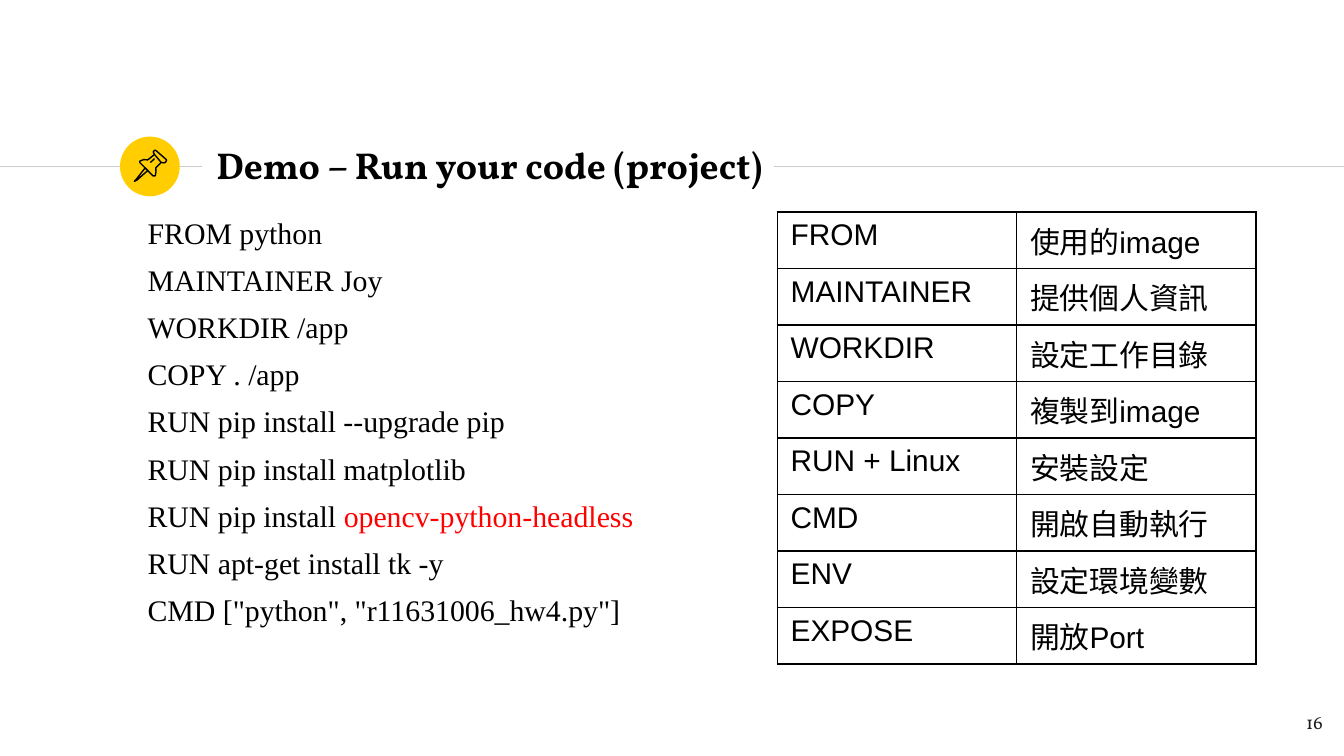
from lxml import etree
from pptx import Presentation
from pptx.dml.color import RGBColor
from pptx.enum import shapes, text
from pptx.oxml import ns
from pptx.util import Pt

BLACK = RGBColor(0x00, 0x00, 0x00)
INK = RGBColor(0x1D, 0x1D, 0x1B)
RED = RGBColor(0xFF, 0x00, 0x00)
YELLOW = RGBColor(0xFF, 0xCD, 0x00)
GREY = RGBColor(0xCC, 0xCC, 0xCC)

TITLE_FONT = {"name": "Vollkorn", "size": Pt(20), "bold": True}
NUMBER_FONT = {"name": "Vollkorn", "size": Pt(10)}
CODE_FONT = {"name": "Times New Roman", "size": Pt(16)}
TABLE_FONT = {"name": "Arial", "size": Pt(16)}
CODE_SPACING = {"line_spacing": Pt(19.2)}

RULE_Y = 89.3
RULES = [(0, 108), (414.7, 720)]

PIN_OUTLINES = [
    ([(77.8, 90), (72.7, 96.5), (72, 97.2), (73.4, 96.5), (79.2, 91.4)], True),
    ([(82.8, 82.8), (82.1, 81.4), (82.8, 80.6), (83.5, 80.6),
      (89.3, 85.7), (88.9, 86.8), (88, 87.3), (86.4, 87.1)], True),
    ([(82.8, 82.8), (79.2, 85.7), (77, 85.5), (74.9, 86.4), (74.9, 87.1),
      (82.1, 94.3), (83.2, 94.2), (83.6, 92.2), (83.5, 90), (86.4, 87.1)], False),
    ([(80.6, 87.1), (82.8, 85)], False),
]

CODE = [
    [("FROM python", BLACK)],
    [("MAINTAINER Joy", BLACK)],
    [("WORKDIR /app", BLACK)],
    [("COPY . /app", BLACK)],
    [("RUN pip install --upgrade pip", BLACK)],
    [("RUN pip install matplotlib", BLACK)],
    [("RUN pip install ", BLACK), ("opencv-python-headless", RED)],
    [("RUN apt-get install tk -y", BLACK)],
    [('CMD ["python", "r11631006_hw4.py"]', BLACK)],
]

COMMANDS = [
    ("FROM", "使用的image"),
    ("MAINTAINER", "提供個人資訊"),
    ("WORKDIR", "設定工作目錄"),
    ("COPY", "複製到image"),
    ("RUN + Linux", "安裝設定"),
    ("CMD", "開啟自動執行"),
    ("ENV", "設定環境變數"),
    ("EXPOSE", "開放Port"),
]


def apply_format(target, values):
    for name, value in values.items():
        setattr(target, name, value)


def add_run(paragraph, wording, font, color):
    run = paragraph.add_run()
    run.text = wording
    apply_format(run.font, font)
    run.font.color.rgb = color


def place(shape, left, top, width, height):
    apply_format(shape, {"left": Pt(left), "top": Pt(top),
                         "width": Pt(width), "height": Pt(height)})


def format_frame(frame, anchor):
    apply_format(frame, {"margin_left": Pt(7.2), "margin_right": Pt(7.2),
                         "margin_top": Pt(7.2), "margin_bottom": Pt(7.2),
                         "word_wrap": True, "vertical_anchor": anchor,
                         "auto_size": text.MSO_AUTO_SIZE.NONE})


def set_title(slide, wording):
    title = slide.shapes.title
    place(title, 108.7, 70.6, 339.1, 34.6)
    format_frame(title.text_frame, text.MSO_ANCHOR.MIDDLE)
    paragraph = title.text_frame.paragraphs[0]
    paragraph.alignment = text.PP_ALIGN.LEFT
    add_run(paragraph, wording, TITLE_FONT, BLACK)


def add_rule(slide, start, end):
    rule = slide.shapes.add_connector(
        shapes.MSO_CONNECTOR.STRAIGHT, Pt(start), Pt(RULE_Y), Pt(end), Pt(RULE_Y))
    rule.line.color.rgb = GREY
    rule.line.width = Pt(0.75)
    etree.SubElement(rule._element.spPr, ns.qn("a:effectLst"))


def add_badge(slide):
    badge = slide.shapes.add_shape(
        shapes.MSO_SHAPE.OVAL, Pt(64.3), Pt(73.2), Pt(32), Pt(32))
    badge.shadow.inherit = False
    badge.fill.solid()
    badge.fill.fore_color.rgb = YELLOW
    badge.line.fill.background()


def add_pin(slide):
    pin = slide.shapes.add_group_shape()
    for points, closed in PIN_OUTLINES:
        first, *rest = [(Pt(x), Pt(y)) for x, y in points]
        builder = pin.shapes.build_freeform(*first)
        builder.add_line_segments(rest, close=closed)
        outline = builder.convert_to_shape()
        outline.shadow.inherit = False
        outline.fill.background()
        outline.line.color.rgb = BLACK
        outline.line.width = Pt(0.75)


def add_text(slide, box, lines, font, spacing, alignment):
    shape = slide.shapes.add_textbox(*map(Pt, box))
    frame = shape.text_frame
    format_frame(frame, text.MSO_ANCHOR.TOP)
    for index, line in enumerate(lines):
        paragraph = frame.add_paragraph() if index else frame.paragraphs[0]
        paragraph.alignment = alignment
        apply_format(paragraph, spacing)
        if index:
            paragraph.space_before = Pt(6)
        for wording, color in line:
            add_run(paragraph, wording, font, color)


def add_borders(cell):
    properties = cell._tc.get_or_add_tcPr()
    for index, side in enumerate(("lnL", "lnR", "lnT", "lnB")):
        border = etree.Element(ns.qn(f"a:{side}"), w=str(Pt(1)))
        fill = etree.SubElement(border, ns.qn("a:solidFill"))
        etree.SubElement(fill, ns.qn("a:srgbClr"), val=str(BLACK))
        properties.insert(index, border)


def add_command_table(slide):
    frame = slide.shapes.add_table(
        len(COMMANDS), 2, Pt(416.4), Pt(113.6), Pt(256.4), Pt(29.2 * len(COMMANDS)))
    table = frame.table
    apply_format(table, {"first_row": False, "horz_banding": False})
    for row, entry in enumerate(COMMANDS):
        for column, wording in enumerate(entry):
            cell = table.cell(row, column)
            cell.fill.background()
            add_borders(cell)
            add_run(cell.text_frame.paragraphs[0], wording, TABLE_FONT, BLACK)


def main():
    presentation = Presentation()
    presentation.slide_width = Pt(720)
    presentation.slide_height = Pt(405)
    slide = presentation.slides.add_slide(presentation.slide_layouts[5])
    for start, end in RULES:
        add_rule(slide, start, end)
    add_badge(slide)
    set_title(slide, "Demo – Run your code (project)")
    add_pin(slide)
    add_text(slide, (672.5, 373.7, 43.2, 31), [[("16", INK)]],
             NUMBER_FONT, {}, text.PP_ALIGN.RIGHT)
    add_text(slide, (72, 108, 536.4, 244.8), CODE,
             CODE_FONT, CODE_SPACING, text.PP_ALIGN.LEFT)
    add_command_table(slide)
    presentation.save("out.pptx")


if __name__ == "__main__":
    main()
